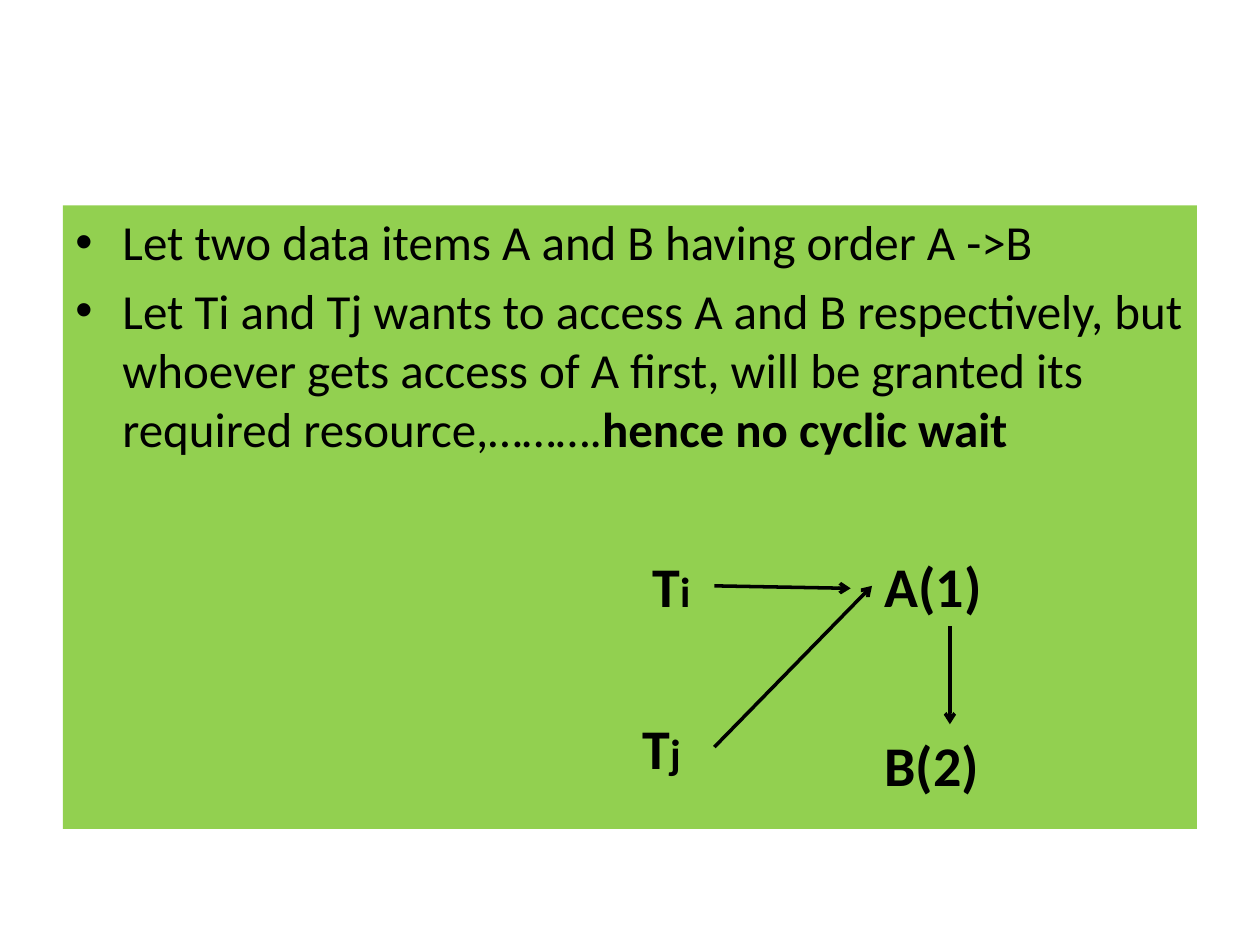
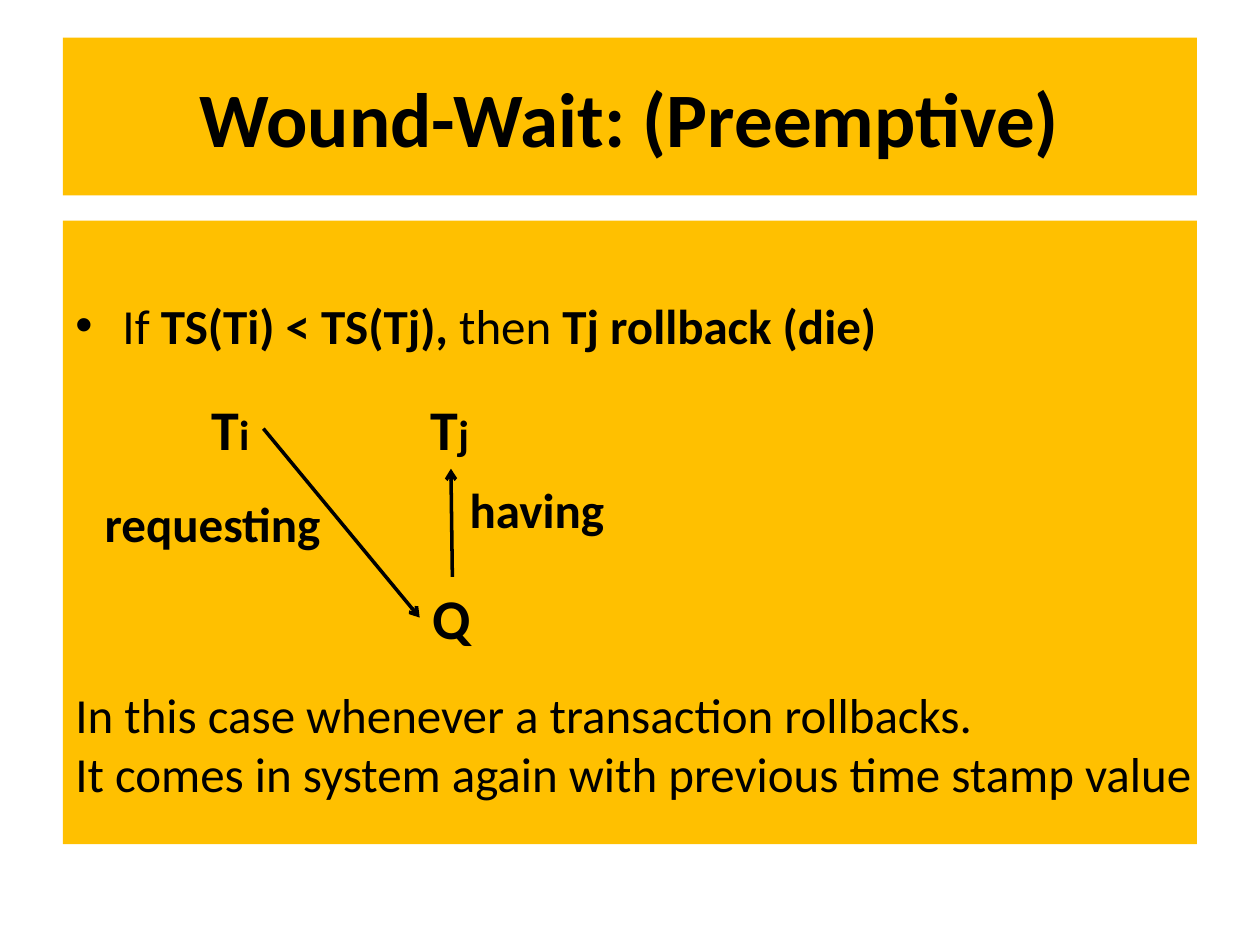
import pptx
import pptx.util
import pptx.dml.color
import pptx.enum.text
import pptx.enum.shapes
import pptx.oxml.ns
import lxml.etree

Cm, Pt = pptx.util.Cm, pptx.util.Pt
Color = pptx.dml.color.RGBColor
Align = pptx.enum.text.PP_ALIGN
Anchor = pptx.enum.text.MSO_ANCHOR
qn = pptx.oxml.ns.qn

BLACK = Color(0, 0, 0)
GREEN = Color(0x92, 0xD0, 0x50)
AMBER = Color(0xFF, 0xC0, 0x00)

FONT = {"name": "Calibri", "bold": False}
TEXT = dict(FONT, size=Pt(28))
BOLD = dict(TEXT, bold=True)
NODE = dict(BOLD, size=Pt(32))
SUB = dict(BOLD, size=Pt(24))
HEAD = dict(BOLD, size=Pt(44))
ITEM = {"space_before": Pt(5.6)}
MID = {"alignment": Align.CENTER}

LEFT, WIDE = 1.27, 22.86
TITLE_TOP, TITLE_TALL = 0.76, 3.18
BODY_TALL = 12.57
PAD = 0.13
HANG = 0.95

TI = [("T", NODE), ("i", SUB)]
TJ = [("T", NODE), ("j", SUB)]

SLIDES = [
    {
        "fill": GREEN,
        "top": 4.14,
        "pad": PAD,
        "items": [
            [("Let two data items A and B having order A ->B", TEXT)],
            [("Let Ti and Tj wants to access A and B respectively, but "
              "whoever gets access of A first, will be granted its "
              "required resource,……….", TEXT),
             ("hence no cyclic wait", BOLD)],
        ],
        "labels": [
            (12.9, 11, 1.5, [TI]),
            (12.7, 14.25, 1.7, [TJ]),
            (17.58, 11, 3.18, [[("A(1)", NODE)]]),
            (17.58, 14.6, 3.18, [[("B(2)", NODE)]]),
        ],
        "arrows": [
            (14.4, 11.81, 17.15, 11.86),
            (14.4, 15.06, 17.58, 11.81),
            (19.15, 12.62, 19.15, 14.6),
        ],
    },
    {
        "title": "Wound-Wait: (Preemptive)",
        "fill": AMBER,
        "top": 4.45,
        "pad": PAD + 1.37,
        "items": [
            [("If", TEXT), (" TS(Ti) < TS(Tj), ", BOLD),
             ("then ", TEXT), ("Tj rollback (die)", BOLD)],
        ],
        "labels": [
            (4.01, 7.82, 1.5, [TI]),
            (8.43, 7.82, 1.5, [TJ]),
            (8.46, 11.63, 1.5, [[("Q", NODE)]]),
            (9.22, 9.55, 3.5, [[("having", BOLD)]]),
            (1.86, 9.83, 5.1, [[("requesting", BOLD)]]),
            (LEFT, 13.67, 23.24, [
                [("In this case whenever a transaction rollbacks.", TEXT)],
                [("It comes in system again with previous time stamp value",
                  TEXT)],
            ]),
        ],
        "arrows": [
            (5.31, 8.64, 8.46, 12.45),
            (9.12, 11.63, 9.09, 9.45),
        ],
    },
]


def style(thing, form):
    for key, val in form.items():
        setattr(thing, key, val)


def write(frame, paras, form):
    frame.word_wrap = True
    for num, runs in enumerate(paras):
        para = frame.add_paragraph() if num else frame.paragraphs[0]
        style(para, form)
        for text, font in runs:
            run = para.add_run()
            run.text = text
            style(run.font, font)
            run.font.color.rgb = BLACK


def panel(slide, top, tall, fill, paras, form, frame):
    kind = pptx.enum.shapes.MSO_SHAPE.RECTANGLE
    box = slide.shapes.add_shape(kind, Cm(LEFT), Cm(top), Cm(WIDE), Cm(tall))
    box.shadow.inherit = False
    box.fill.solid()
    box.fill.fore_color.rgb = fill
    box.line.fill.background()
    style(box.text_frame, frame)
    write(box.text_frame, paras, form)
    return box


def bullet(para):
    props = para._p.get_or_add_pPr()
    props.set("marL", str(Cm(HANG)))
    props.set("indent", str(-Cm(HANG)))
    lxml.etree.SubElement(props, qn("a:buFont")).set("typeface", "Arial")
    lxml.etree.SubElement(props, qn("a:buChar")).set("char", "•")


def arrow(slide, ends):
    kind = pptx.enum.shapes.MSO_CONNECTOR.STRAIGHT
    link = slide.shapes.add_connector(kind, *map(Cm, ends))
    link.line.color.rgb = BLACK
    link.line.width = Pt(2)
    tail = lxml.etree.SubElement(link.line._get_or_add_ln(), qn("a:tailEnd"))
    tail.set("type", "arrow")
    lxml.etree.SubElement(link._element.spPr, qn("a:effectLst"))


def label(slide, left, top, wide, paras):
    tall = 1.62 if len(paras) == 1 else 2.64
    box = slide.shapes.add_textbox(Cm(left), Cm(top), Cm(wide), Cm(tall))
    write(box.text_frame, paras, {})


deck = pptx.Presentation()
style(deck, {"slide_width": Cm(25.4), "slide_height": Cm(19.05)})
for data in SLIDES:
    slide = deck.slides.add_slide(deck.slide_layouts[6])
    if "title" in data:
        panel(slide, TITLE_TOP, TITLE_TALL, data["fill"],
              [[(data["title"], HEAD)]], MID,
              {"vertical_anchor": Anchor.MIDDLE})
    body = panel(slide, data["top"], BODY_TALL, data["fill"], data["items"],
                 dict(ITEM, alignment=Align.LEFT),
                 {"vertical_anchor": Anchor.TOP,
                  "margin_top": Cm(data["pad"])})
    for para in body.text_frame.paragraphs:
        bullet(para)
    for ends in data["arrows"]:
        arrow(slide, ends)
    for spot in data["labels"]:
        label(slide, *spot)
deck.save("out.pptx")
